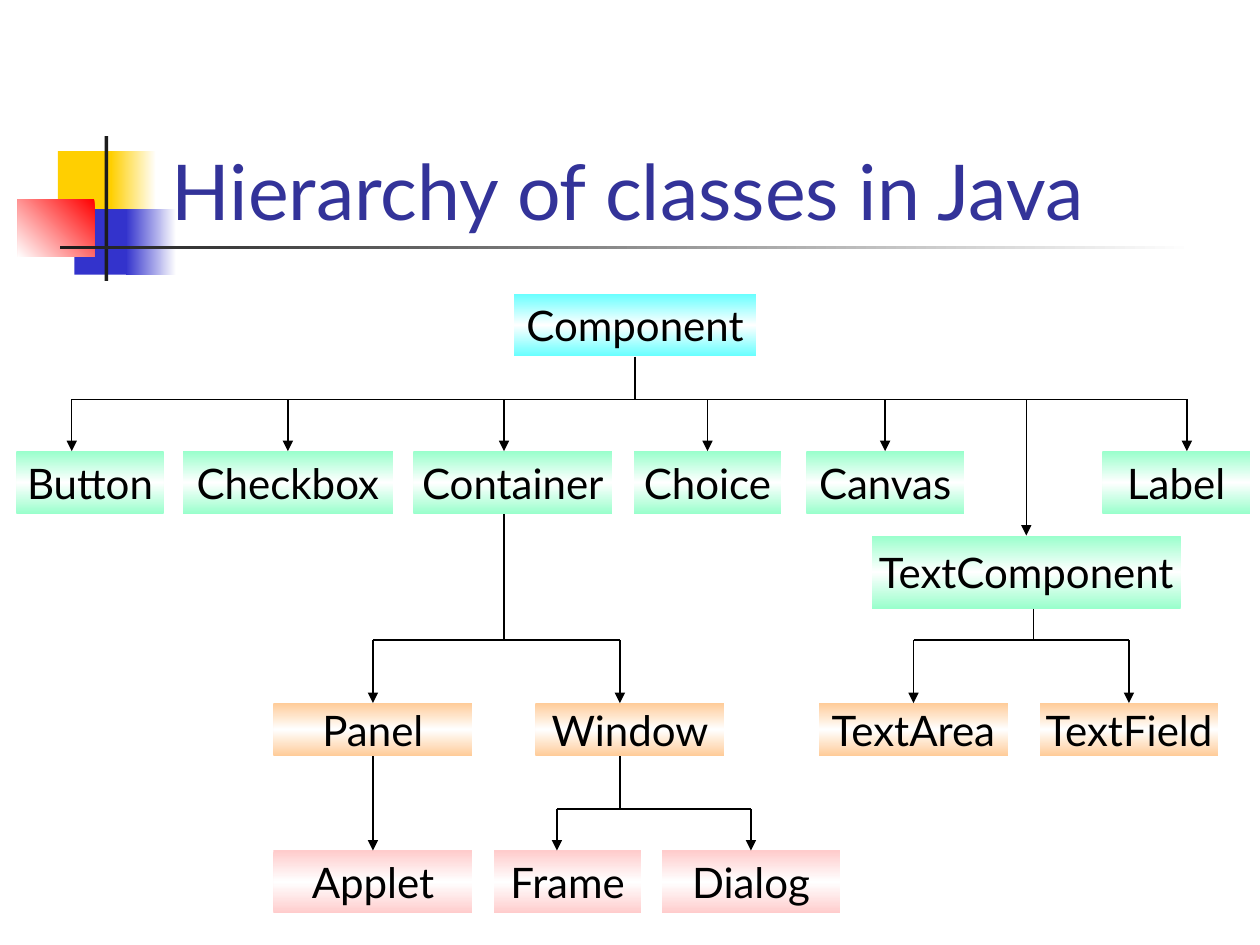
from copy import deepcopy
from lxml import etree
from pptx import Presentation
from pptx.dml.color import RGBColor
from pptx.enum.shapes import MSO_CONNECTOR, MSO_SHAPE
from pptx.enum.text import MSO_ANCHOR, MSO_AUTO_SIZE, PP_ALIGN
from pptx.oxml.ns import qn
from pptx.util import Inches, Pt

RECT = MSO_SHAPE.RECTANGLE
STRAIGHT = MSO_CONNECTOR.STRAIGHT
LEFT, CENTER = PP_ALIGN.LEFT, PP_ALIGN.CENTER
MIDDLE, BOTTOM = MSO_ANCHOR.MIDDLE, MSO_ANCHOR.BOTTOM
NO_FIT = MSO_AUTO_SIZE.NONE

WHITE = RGBColor(255, 255, 255)
BLACK = RGBColor(0, 0, 0)
DARK = RGBColor(0x1C, 0x1C, 0x1C)
GOLD = RGBColor(0xFF, 0xCF, 0x01)
BLUE = RGBColor(0x33, 0x33, 0xCC)
RED = RGBColor(0xFF, 0, 0)
NAVY = RGBColor(0x33, 0x33, 0x99)
CYAN = RGBColor(0x66, 0xFF, 0xFF)
MINT = RGBColor(0x99, 0xFF, 0xCC)
PEACH = RGBColor(0xFF, 0xCC, 0x99)
PINK = RGBColor(0xFF, 0xCC, 0xCC)

deck = Presentation()
deck.slide_width, deck.slide_height = Inches(10), Inches(7.5)
slide = deck.slides.add_slide(deck.slide_layouts[5])
shapes = slide.shapes


def write(shape, text, size=24, color=BLACK, align=CENTER, anchor=MIDDLE, wrap=False):
    frame = shape.text_frame
    frame.auto_size = NO_FIT
    frame.word_wrap = wrap
    frame.vertical_anchor = anchor
    para = frame.paragraphs[0]
    para.alignment = align
    run = para.add_run()
    run.text = text
    run.font.name = "Lato"
    run.font.size = Pt(size)
    run.font.color.rgb = color


def link(x1, y1, x2, y2, above=None, below=None, arrow=False):
    line = shapes.add_connector(STRAIGHT, x1, y1, x2, y2)
    line.line.color.rgb = BLACK
    line.line.width = Pt(0.75)
    if arrow:
        etree.SubElement(line.line._get_or_add_ln(), qn("a:tailEnd"), type="triangle")
    etree.SubElement(line._element.spPr, qn("a:effectLst"))
    if above is not None and x1 == mids[above]:
        line.begin_connect(boxes[above], 2)
    if below is not None and x2 == mids[below]:
        line.end_connect(boxes[below], 0)


title = shapes.title
title.left, title.top = Inches(1.26), Inches(0.67)
title.width, title.height = Inches(8.52), Inches(1.25)
write(title, "Hierarchy of classes in Java", size=44, color=NAVY,
      align=LEFT, anchor=BOTTOM, wrap=True)

decor = [
    (None, 0.46, 1.2, 0.48, 0.52, [GOLD], 0),
    (None, 0.88, 1.2, 0.36, 0.52, [WHITE, GOLD], 180),
    (None, 0.59, 1.66, 0.46, 0.52, [BLUE], 0),
    (None, 1, 1.66, 0.4, 0.52, [WHITE, BLUE], 180),
    (None, 0.14, 1.58, 0.61, 0.46, [RED, WHITE], 225),
    (None, 0.83, 1.08, 0.03, 1.15, [DARK], 0),
    (None, 0.48, 1.95, 9, 0.03, [WHITE, DARK], 180),
]
rows = [
    (CYAN, 2.33, 0.5, [("Component", 4.08, 1.92)]),
    (MINT, 3.58, 0.5, [("Button", 0.13, 1.17), ("Checkbox", 1.45, 1.67),
                       ("Container", 3.28, 1.58), ("Choice", 5.03, 1.17),
                       ("Canvas", 6.4, 1.25), ("Label", 8.75, 1.17)]),
    (MINT, 4.25, 0.58, [("TextComponent", 6.92, 2.45)]),
    (PEACH, 5.58, 0.42, [("Panel", 2.17, 1.58), ("Window", 4.25, 1.5),
                         ("TextArea", 6.5, 1.5), ("TextField", 8.25, 1.42)]),
    (PINK, 6.75, 0.5, [("Applet", 2.17, 1.58), ("Frame", 3.92, 1.17),
                       ("Dialog", 5.25, 1.42)]),
]
nodes = [(name, x, y, w, h, [tint, WHITE, tint], 90)
         for tint, y, h, row in rows for name, x, w in row]

boxes, mids = {}, {}
for name, x, y, w, h, hues, angle in decor + nodes:
    box = shapes.add_shape(RECT, Inches(x), Inches(y), Inches(w), Inches(h))
    box.shadow.inherit = False
    box.line.fill.background()
    if len(hues) == 1:
        box.fill.solid()
        box.fill.fore_color.rgb = hues[0]
    else:
        box.fill.gradient()
        box.fill.gradient_angle = angle
        stops = box._element.spPr.find(".//" + qn("a:gsLst"))
        if len(hues) == 3:
            stops.insert(1, deepcopy(stops[0]))
        for i, (stop, hue) in enumerate(zip(box.fill.gradient_stops, hues)):
            stop.position = i / (len(hues) - 1)
            stop.color.rgb = hue
    if name:
        write(box, name)
        boxes[name] = box
        mids[name] = box.left + box.width // 2

trees = [
    ("Component", 5, 3.17, [("Button", 0.57), ("Checkbox", 2.25), ("Container", 4),
                            ("Choice", 5.58), ("Canvas", 7),
                            ("TextComponent", 8.17), ("Label", 9.42)]),
    ("Container", 4, 5.08, [("Panel", 2.92), ("Window", 4.92)]),
    ("Window", 4.92, 6.42, [("Frame", 4.42), ("Dialog", 5.92)]),
    ("TextComponent", 8.2, 5.08, [("TextArea", 7.25), ("TextField", 9)]),
]
near = Inches(0.05)
for root, stem, bar, kids in trees:
    ends = [(name, mids[name] if abs(mids[name] - Inches(x)) < near else Inches(x))
            for name, x in [(root, stem)] + kids]
    top, level = boxes[root].top + boxes[root].height, Inches(bar)
    x = ends[0][1]
    link(x, top, x, level, above=root)
    link(ends[1][1], level, ends[-1][1], level)
    for name, x in ends[1:]:
        link(x, level, x, boxes[name].top, below=name, arrow=True)

panel = boxes["Panel"]
link(mids["Panel"], panel.top + panel.height, mids["Applet"], boxes["Applet"].top,
     above="Panel", below="Applet", arrow=True)

deck.save("out.pptx")
